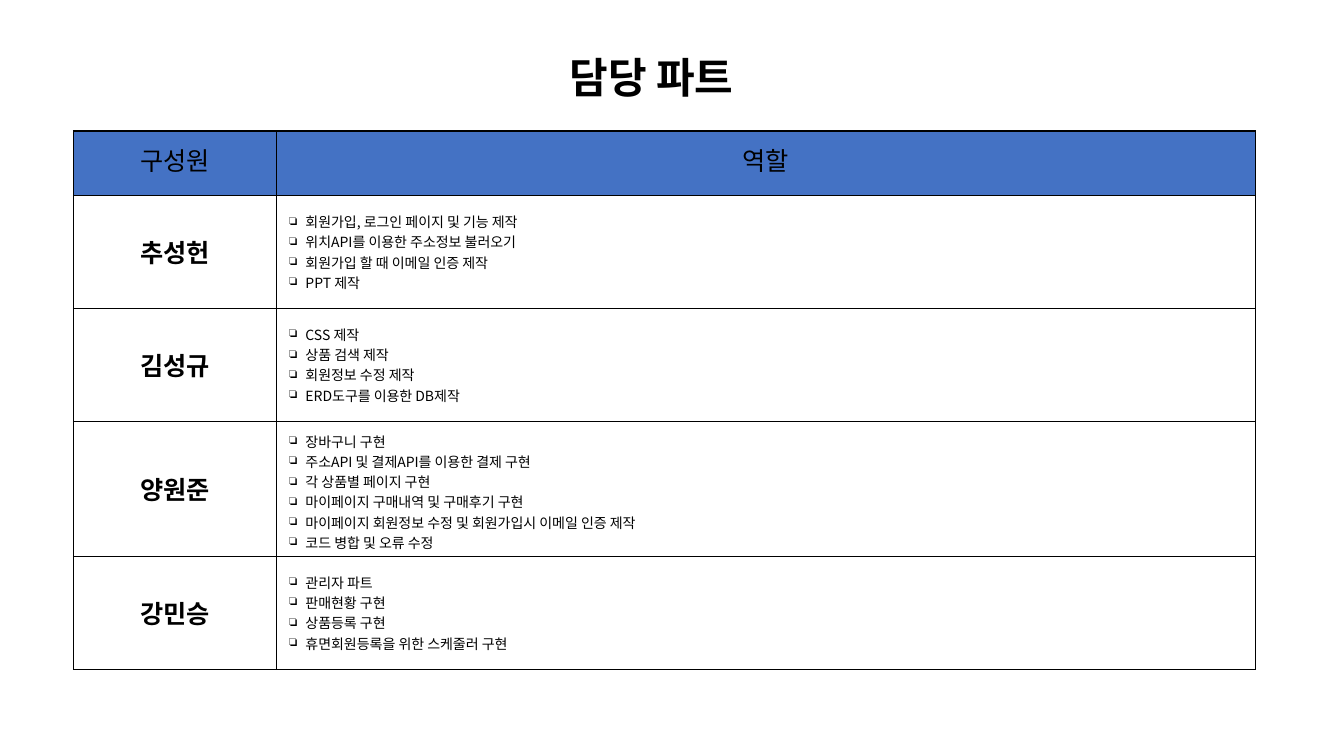
from lxml.etree import SubElement
from pptx import Presentation
from pptx.dml.color import RGBColor
from pptx.enum.text import MSO_ANCHOR, PP_ALIGN
from pptx.oxml.ns import qn
from pptx.util import Inches, Pt

FONT = "Noto Sans CJK KR"
BLACK, BLUE, WHITE = "000000", "4472C4", "FFFFFF"
HEADS = ["구성원", "역할"]
COLS = [2.01, 9.71]
ROWS = [0.64, 1.12, 1.12, 1.34, 1.12]
MEMBERS = [
    ("추성헌", ["회원가입, 로그인 페이지 및 기능 제작",
             "위치API를 이용한 주소정보 불러오기",
             "회원가입 할 때 이메일 인증 제작",
             "PPT 제작"]),
    ("김성규", ["CSS 제작",
             "상품 검색 제작",
             "회원정보 수정 제작",
             "ERD도구를 이용한 DB제작"]),
    ("양원준", ["장바구니 구현",
             "주소API 및 결제API를 이용한 결제 구현",
             "각 상품별 페이지 구현",
             "마이페이지 구매내역 및 구매후기 구현",
             "마이페이지 회원정보 수정 및 회원가입시 이메일 인증 제작",
             "코드 병합 및 오류 수정"]),
    ("강민승", ["관리자 파트",
             "판매현황 구현",
             "상품등록 구현",
             "휴면회원등록을 위한 스케줄러 구현"]),
]


def color(code):
    return RGBColor.from_string(code)


def style(para, size, bold=False, name=FONT):
    font = para.font
    font.name, font.size, font.bold = name, Pt(size), bold
    font.color.rgb = color(BLACK)
    # Hangul takes its font from the East Asian slot
    SubElement(font._element, qn("a:ea"), typeface=FONT)


def add_bullet(para):
    props = para._p.get_or_add_pPr()
    props.set("marL", str(Inches(0.19)))
    props.set("indent", str(Inches(-0.16)))
    mark = SubElement(props, qn("a:buChar"), char="❏")
    props.insert(0, mark)


def add_border(cell):
    props = cell._tc.get_or_add_tcPr()
    for i, side in enumerate(("lnL", "lnR", "lnT", "lnB")):
        line = SubElement(props, qn(f"a:{side}"), w=str(Pt(1)))
        fill = SubElement(line, qn("a:solidFill"))
        SubElement(fill, qn("a:srgbClr"), val=BLACK)
        props.insert(i, line)


def fill_cell(cell, lines, size, bold=False, back=WHITE,
              anchor=MSO_ANCHOR.MIDDLE, bullet=False):
    cell.fill.solid()
    cell.fill.fore_color.rgb = color(back)
    add_border(cell)
    cell.vertical_anchor = anchor
    cell.margin_left = cell.margin_right = Inches(0.1)
    cell.margin_top = cell.margin_bottom = Inches(0.1)
    frame = cell.text_frame
    frame.text = "\n".join(lines)
    for para in frame.paragraphs:
        style(para, size, bold)
        if bullet:
            add_bullet(para)
        else:
            para.alignment = PP_ALIGN.CENTER


def add_title(slide, text):
    box = slide.shapes.add_textbox(Inches(5.55), Inches(0.46),
                                   Inches(4.35), Inches(0.61))
    frame = box.text_frame
    frame.word_wrap = True
    frame.text = text
    style(frame.paragraphs[0], 30, True, "Arial")


def add_roles(slide):
    table = slide.shapes.add_table(
        len(ROWS), len(COLS), Inches(0.73), Inches(1.3),
        Inches(sum(COLS)), Inches(sum(ROWS))).table
    for col, width in zip(table.columns, COLS):
        col.width = Inches(width)
    for row, height in zip(table.rows, ROWS):
        row.height = Inches(height)
    for i, head in enumerate(HEADS):
        fill_cell(table.cell(0, i), [head], 18, back=BLUE,
                  anchor=MSO_ANCHOR.TOP)
    for i, (name, tasks) in enumerate(MEMBERS, 1):
        fill_cell(table.cell(i, 0), [name], 18, bold=True)
        fill_cell(table.cell(i, 1), tasks, 10, bullet=True)


def main():
    deck = Presentation()
    deck.slide_width, deck.slide_height = Inches(13.33), Inches(7.5)
    slide = deck.slides.add_slide(deck.slide_layouts[6])
    add_title(slide, "담당 파트")
    add_roles(slide)
    deck.save("out.pptx")


if __name__ == "__main__":
    main()
